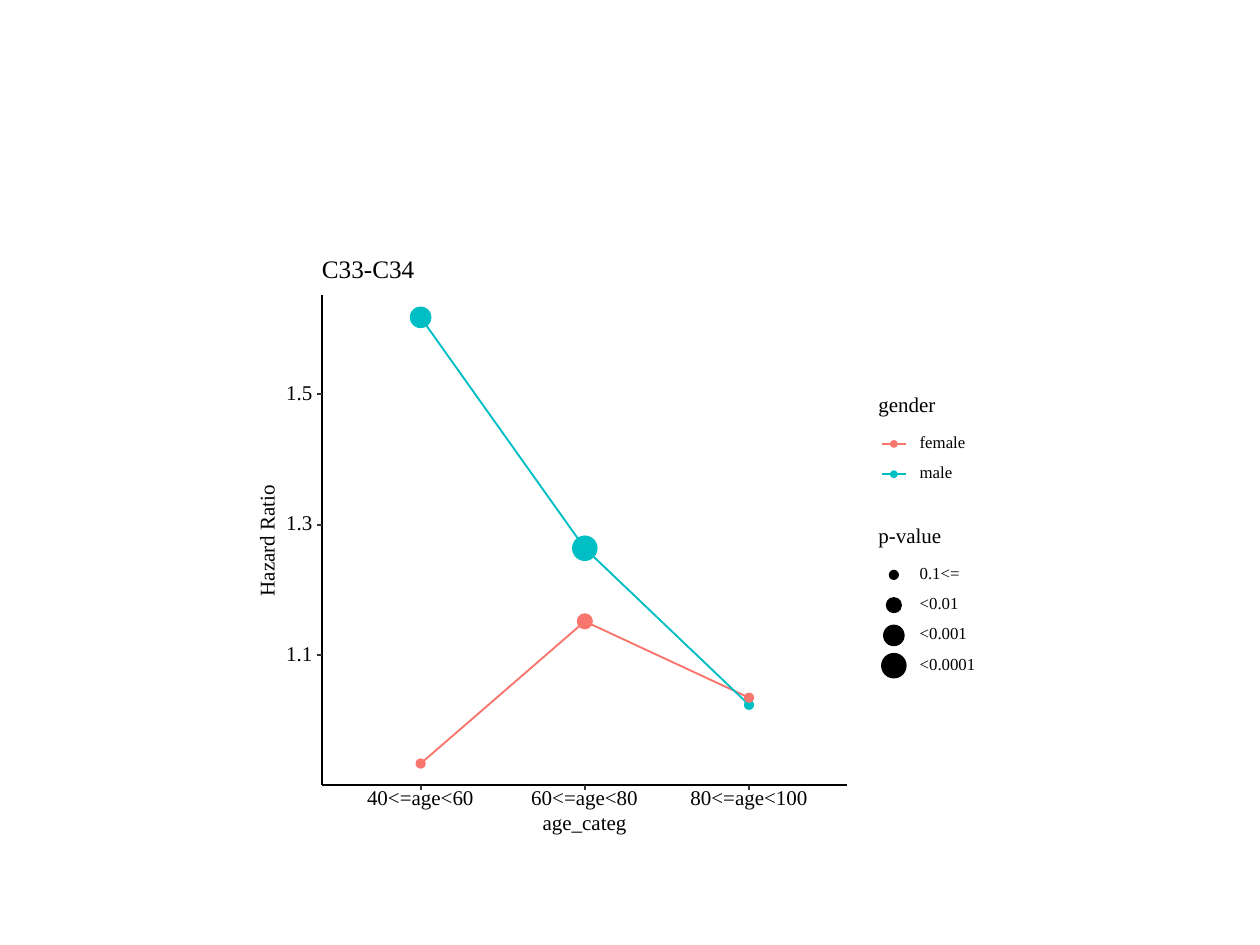
from typing import NamedTuple

import lxml.etree
import pptx
import pptx.dml.color
import pptx.enum.shapes
import pptx.enum.text
import pptx.oxml.ns
import pptx.util

Cm = pptx.util.Cm
Pt = pptx.util.Pt
RGB = pptx.dml.color.RGBColor
Kind = pptx.enum.shapes.MSO_SHAPE

WHITE = RGB(0xFF, 0xFF, 0xFF)
BLACK = RGB(0x00, 0x00, 0x00)
GREY = RGB(0x33, 0x33, 0x33)
CORAL = RGB(0xF8, 0x76, 0x6D)
TEAL = RGB(0x00, 0xBF, 0xC4)
FONT = "Times New Roman"


class Box(NamedTuple):
    left: float
    top: float
    wide: float
    tall: float
    edge: float = 0


class Label(NamedTuple):
    text: str
    left: float
    mid: float
    wide: float
    tall: float = 0.38
    size: float = 12
    turn: float = 0


class Series(NamedTuple):
    name: str
    wide: float
    color: RGB
    ratios: tuple[float, ...]  # hazard ratio in hundredths
    levels: tuple[int, ...]  # p-value level of each point


class Level(NamedTuple):
    name: str
    wide: float
    size: float


# Data
AGES = (("40<=age<60", 2.16), ("60<=age<80", 2.16), ("80<=age<100", 2.36))
TICKS = (110, 130, 150)
FEMALE = Series("female", 0.91, CORAL, (93.4, 115.2, 103.5), (0, 1, 0))
MALE = Series("male", 0.66, TEAL, (161.8, 126.4, 102.4), (2, 3, 0))
LEVELS = (
    Level("0.1<=", 0.81, 0.18),
    Level("<0.01", 0.79, 0.3),
    Level("<0.001", 0.97, 0.41),
    Level("<0.0001", 1.12, 0.49),
)

# Layout in centimetres
PLOT = Box(6.49, 5.94, 10.59, 9.88)
BASE = PLOT.top + PLOT.tall
TICK = 0.1
SLACK = 0.1  # spare width that keeps a label on one line
HEAD_X, KEY_X, NAME_X, ROW = 17.71, 18.02, 18.54, 0.61
PANELS = (
    Box(5.08, 5.08, 15, 12, 0.75),
    Box(5.08, 5.08, 15, 12, 1.16),
    PLOT,
)
KEYS = (Box(17.5, 7.85, 2.16, 2.24), Box(17.5, 10.49, 2.36, 3.45))


def age_x(i: int) -> float:
    return 8.48 + 3.31 * i


def ratio_y(ratio: float) -> float:
    return 13.21 - 2.63 * (ratio - 110) / 20


def draw_box(shapes, box: Box) -> None:
    rect = shapes.add_shape(Kind.RECTANGLE, *map(Cm, box[:4]))
    rect.shadow.inherit = False
    rect.fill.solid()
    rect.fill.fore_color.rgb = WHITE
    if box.edge:
        rect.line.color.rgb = WHITE
        rect.line.width = Pt(box.edge)
    else:
        rect.line.fill.background()


def draw_line(shapes, x1: float, y1: float, x2: float, y2: float,
              color: RGB, width: float = 1.07) -> None:
    line = shapes.add_connector(pptx.enum.shapes.MSO_CONNECTOR.STRAIGHT,
                                Cm(x1), Cm(y1), Cm(x2), Cm(y2))
    line.line.color.rgb = color
    line.line.width = Pt(width)
    lxml.etree.SubElement(line._element.spPr, pptx.oxml.ns.qn("a:effectLst"))


def draw_dot(shapes, x: float, y: float, size: float, color: RGB) -> None:
    dot = shapes.add_shape(Kind.OVAL, Cm(x - size / 2), Cm(y - size / 2),
                           Cm(size), Cm(size))
    dot.shadow.inherit = False
    dot.fill.solid()
    dot.fill.fore_color.rgb = color
    dot.line.color.rgb = color
    dot.line.width = Pt(0.71)


def draw_path(shapes, row: Series) -> None:
    dots = [(Cm(age_x(i)), Cm(ratio_y(r))) for i, r in enumerate(row.ratios)]
    pen = shapes.build_freeform(*dots[0])
    pen.add_line_segments(dots[1:], close=False)
    path = pen.convert_to_shape()
    path.shadow.inherit = False
    path.fill.background()
    path.line.color.rgb = row.color
    path.line.width = Pt(1.07)


def draw_label(shapes, label: Label) -> None:
    box = shapes.add_textbox(Cm(label.left), Cm(label.mid - label.tall / 2),
                             Cm(label.wide + SLACK), Cm(label.tall))
    box.rotation = label.turn
    frame = box.text_frame
    frame.text = label.text
    frame.word_wrap = False
    frame.vertical_anchor = pptx.enum.text.MSO_ANCHOR.MIDDLE
    frame.margin_left = frame.margin_right = 0
    frame.margin_top = frame.margin_bottom = 0
    para = frame.paragraphs[0]
    para.line_spacing = Pt(label.size)
    font = para.runs[0].font
    font.name = FONT
    font.size = Pt(label.size)
    font.color.rgb = BLACK


def draw_plot(shapes) -> None:
    for box in PANELS:
        draw_box(shapes, box)

    # Series, then points on top
    for row in (FEMALE, MALE):
        draw_path(shapes, row)
    for i in range(len(AGES)):
        for row in (MALE, FEMALE):
            draw_dot(shapes, age_x(i), ratio_y(row.ratios[i]),
                     LEVELS[row.levels[i]].size, row.color)

    # Ratio axis
    draw_line(shapes, PLOT.left, BASE, PLOT.left, PLOT.top, BLACK)
    for tick in TICKS:
        y = ratio_y(tick)
        draw_label(shapes, Label(f"{tick / 100:.1f}", 5.77, y - 0.01, 0.53, 0.28))
        draw_line(shapes, PLOT.left - TICK, y, PLOT.left, y, GREY, 1.16)

    # Age axis
    draw_line(shapes, PLOT.left, BASE, PLOT.left + PLOT.wide, BASE, BLACK)
    for i, (name, wide) in enumerate(AGES):
        x = age_x(i)
        draw_line(shapes, x, BASE + TICK, x, BASE, GREY, 1.16)
        draw_label(shapes, Label(name, x - wide / 2, 16.12, wide))

    # Titles
    draw_label(shapes, Label("age_categ", 10.94, 16.61, 1.7, 0.36))
    draw_label(shapes, Label("Hazard Ratio", 4.24, 10.85, 2.24, 0.3, turn=270))
    draw_label(shapes, Label("C33-C34", PLOT.left, 5.46, 1.85, 0.36, 14.4))


def draw_name(shapes, text: str, y: float, wide: float) -> None:
    draw_label(shapes, Label(text, NAME_X, y - 0.01, wide, 0.23, 9.6))


def draw_keys(shapes) -> None:
    # Gender legend
    draw_box(shapes, KEYS[0])
    draw_label(shapes, Label("gender", HEAD_X, 8.19, 1.14))
    for i, row in enumerate((FEMALE, MALE)):
        y = 8.95 + ROW * i
        draw_line(shapes, KEY_X - 0.24, y, KEY_X + 0.24, y, row.color)
        draw_dot(shapes, KEY_X, y, 0.13, row.color)
        draw_name(shapes, row.name, y, row.wide)

    # Size legend
    draw_box(shapes, KEYS[1])
    draw_label(shapes, Label("p-value", HEAD_X, 10.83, 1.27))
    for i, level in enumerate(LEVELS):
        y = 11.59 + ROW * i
        draw_dot(shapes, KEY_X, y, level.size, BLACK)
        draw_name(shapes, level.name, y, level.wide)


def main() -> None:
    deck = pptx.Presentation()
    deck.slide_width, deck.slide_height = Cm(25.4), Cm(19.05)
    slide = deck.slides.add_slide(deck.slide_layouts[6])
    shapes = slide.shapes.add_group_shape().shapes
    draw_plot(shapes)
    draw_keys(shapes)
    deck.save("out.pptx")


if __name__ == "__main__":
    main()
